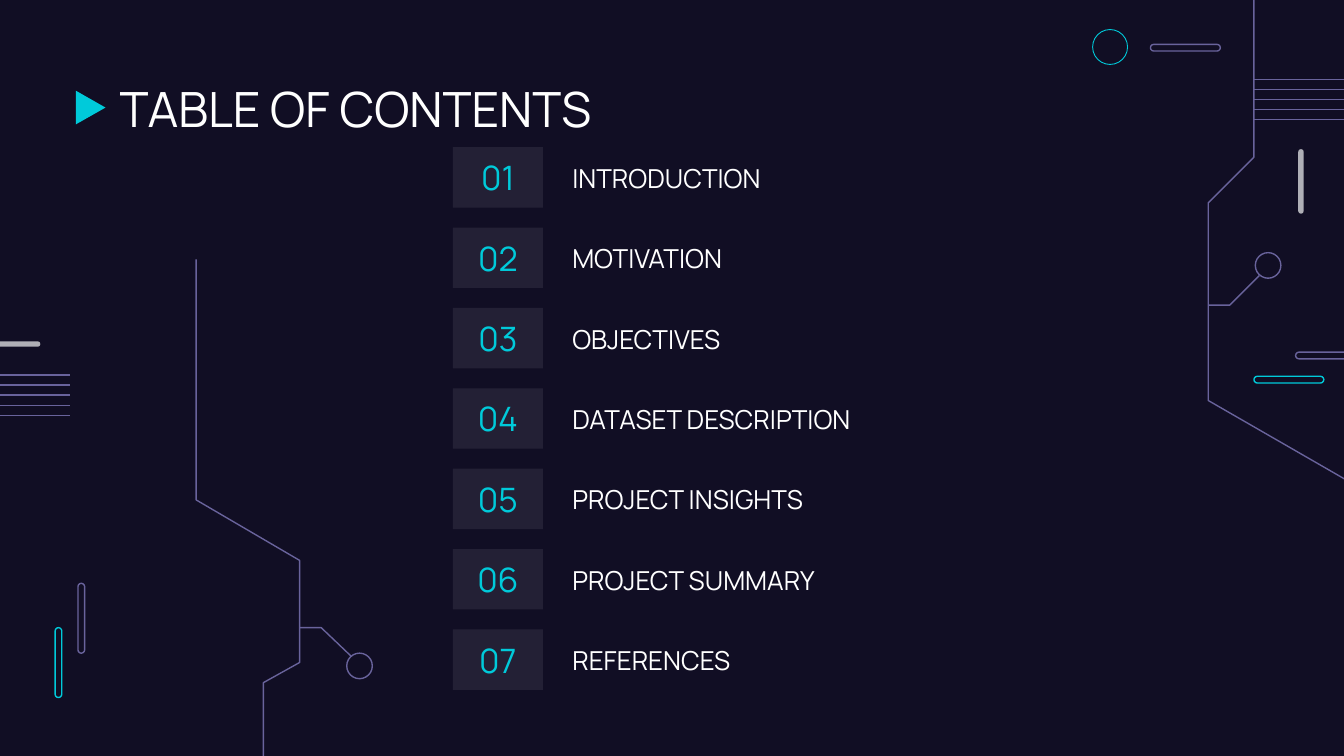
import pptx
import pptx.util
import pptx.dml.color
import pptx.enum.shapes
import pptx.enum.text
import pptx.oxml.ns
import lxml.etree


def colour(value):
    return pptx.dml.color.RGBColor.from_string(value)


def write(box, text, size=14, tint="FFFFFF", align="LEFT", anchor="MIDDLE"):
    frame = box.text_frame
    frame.word_wrap = True
    frame.auto_size = pptx.enum.text.MSO_AUTO_SIZE.NONE
    frame.vertical_anchor = pptx.enum.text.MSO_ANCHOR[anchor]
    frame.margin_left = frame.margin_right = pptx.util.Inches(0.1)
    frame.margin_top = frame.margin_bottom = pptx.util.Inches(0.1)
    para = frame.paragraphs[0]
    para.alignment = pptx.enum.text.PP_ALIGN[align]
    span = para.add_run()
    span.text = text
    span.font.name = "Manrope"
    span.font.size = pptx.util.Pt(size)
    span.font.color.rgb = colour(tint)


qn = pptx.oxml.ns.qn
presets = pptx.enum.shapes.MSO_SHAPE
cyan, purple, grey, white = "00CADA", "69639C", "AFAFB6", "FFFFFF"

deck = pptx.Presentation()
deck.slide_width = pptx.util.Inches(10)
deck.slide_height = deck.slide_width * 9 // 16
unit = deck.slide_width // 1000
page = deck.slides.add_slide(deck.slide_layouts[5])
page.background.fill.solid()
page.background.fill.fore_color.rgb = colour("110E24")

ornaments = [
    (presets.ROUNDED_RECTANGLE, 41, 467, 5, 52, cyan, 0.75),
    (presets.ROUNDED_RECTANGLE, 58, 434, 5, 52, purple, 0.75),
    (presets.ROUNDED_RECTANGLE, 933, 280, 52, 5, cyan, 0.75),
    (presets.ROUNDED_RECTANGLE, 964, 262, 52, 5, purple, 0.75),
    (presets.ROUNDED_RECTANGLE, 856, 33, 52, 5, purple, 0.75),
    (presets.ROUNDED_RECTANGLE, 966, 111, 4, 48, grey, 0),
    (presets.ROUNDED_RECTANGLE, -18, 254, 48, 4, grey, 0),
    (presets.OVAL, 813, 22, 26, 26, cyan, 0.47),
    (presets.OVAL, 934, 188, 19, 19, purple, 0.75),
    (presets.OVAL, 258, 486, 19, 19, purple, 0.75),
    (presets.FLOWCHART_MERGE, 55, 69, 25, 22, cyan, 0),
]
for preset, left, top, width, height, tint, weight in ornaments:
    ornament = page.shapes.add_shape(preset, left * unit, top * unit, width * unit, height * unit)
    ornament.shadow.inherit = False
    if preset == presets.ROUNDED_RECTANGLE:
        ornament.adjustments[0] = 0.5
    if preset == presets.FLOWCHART_MERGE:
        ornament.rotation = 270
    if weight:
        ornament.fill.background()
        ornament.line.color.rgb = colour(tint)
        ornament.line.width = pptx.util.Pt(weight)
    else:
        ornament.fill.solid()
        ornament.fill.fore_color.rgb = colour(tint)
        ornament.line.fill.background()

circuits = [
    [(937, 205), (915, 227), (899, 227)],
    [(1012, 363), (899, 298), (899, 151), (933, 117), (933, -6)],
    [(261, 488), (239, 467), (223, 467)],
    [(146, 193), (146, 372), (223, 417), (223, 493), (196, 508), (196, 571)],
]
for start, *bends in circuits:
    builder = page.shapes.build_freeform(*start, scale=unit)
    builder.add_line_segments(bends, close=False)
    circuit = builder.convert_to_shape()
    circuit.shadow.inherit = False
    circuit.fill.background()
    circuit.line.color.rgb = colour(purple)
    circuit.line.width = pptx.util.Pt(0.75)

for left, right, top in [(933, 1080, 59), (-61, 52, 279)]:
    for index in range(5):
        height = round((top + 7.5 * index) * unit)
        stripe = page.shapes.add_connector(
            pptx.enum.shapes.MSO_CONNECTOR.STRAIGHT, left * unit, height, right * unit, height)
        stripe.line.color.rgb = colour(purple)
        stripe.line.width = pptx.util.Pt(0.75)
        lxml.etree.SubElement(stripe._element.spPr, qn("a:effectLst"))

title = page.shapes.title
title.left, title.top, title.width, title.height = 79 * unit, 49 * unit, 843 * unit, 63 * unit
write(title, "TABLE OF CONTENTS", size=26, anchor="TOP")

sections = ["INTRODUCTION", "MOTIVATION", "OBJECTIVES", "DATASET DESCRIPTION",
            "PROJECT INSIGHTS", "PROJECT SUMMARY", "REFERENCES"]
for index, section in enumerate(sections):
    row = round((109.5 + 59.8 * index) * unit)
    tile = page.shapes.add_shape(presets.RECTANGLE, 337 * unit, row, 67 * unit, 45 * unit)
    tile.shadow.inherit = False
    tile.line.fill.background()
    tile.fill.solid()
    tile.fill.fore_color.rgb = colour(white)
    shade = tile._element.spPr.find(qn("a:solidFill")).find(qn("a:srgbClr"))
    lxml.etree.SubElement(shade, qn("a:alpha"), val="8000")
    write(tile, f"{index + 1:02}", size=18, tint=cyan, align="CENTER")
    label = page.shapes.add_textbox(416 * unit, row - 4 * unit, 297 * unit, 54 * unit)
    write(label, section)

deck.save("out.pptx")
